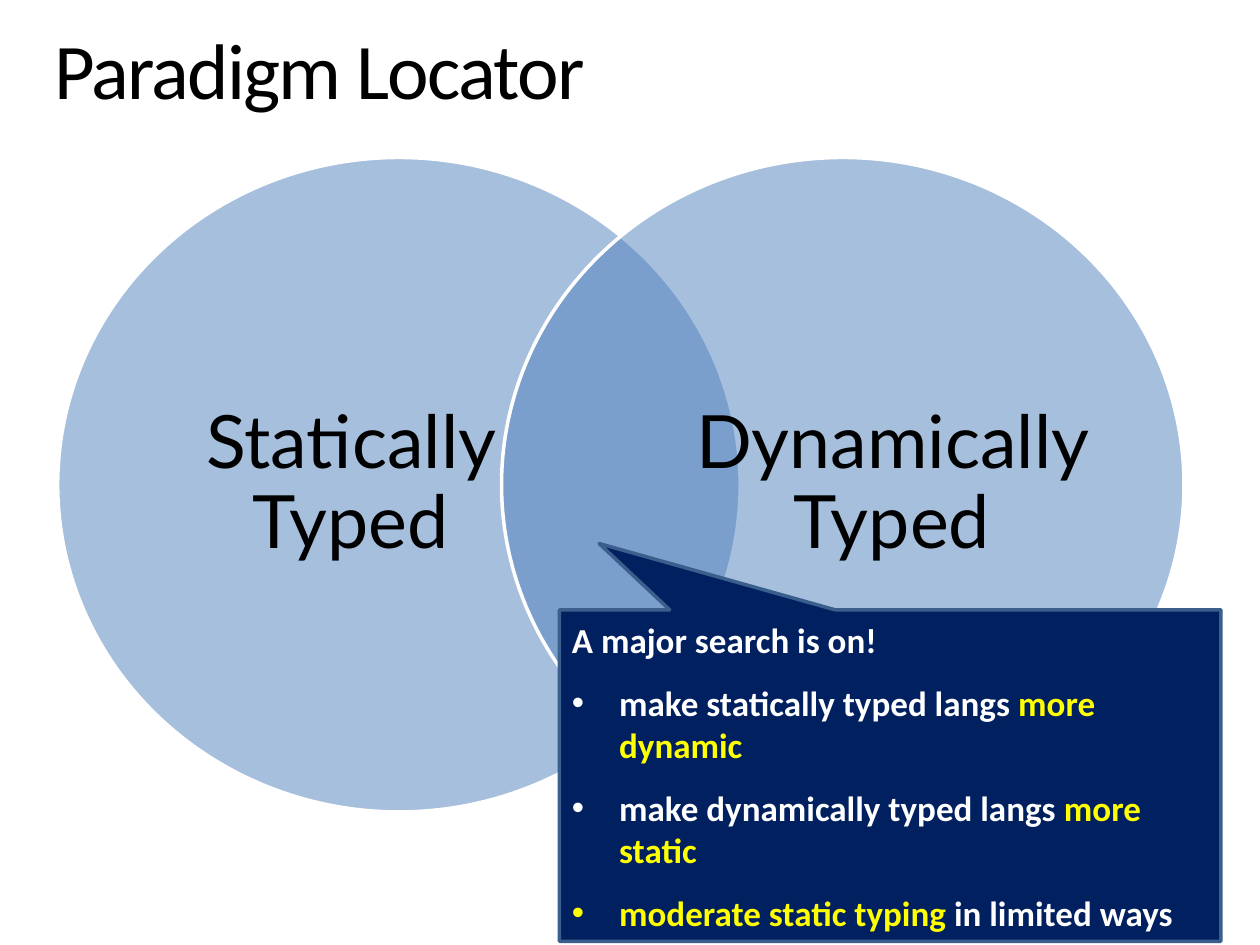
from lxml.etree import SubElement as Sub
from pptx import Presentation
from pptx.dml.color import RGBColor as RGB
from pptx.enum.shapes import MSO_SHAPE as Kind
from pptx.enum.text import MSO_ANCHOR as Anchor, PP_ALIGN as Align
from pptx.oxml.ns import qn
from pptx.util import Pt

BLACK = RGB(0, 0, 0)
WHITE = RGB(255, 255, 255)
BLUE = RGB(0x4F, 0x81, 0xBD)
NAVY = RGB(0x00, 0x20, 0x60)
STEEL = RGB(0x3A, 0x5F, 0x8C)
YELLOW = RGB(255, 255, 0)


class Deck:
    body = "Calibri"
    label = "Lato"
    edge = 2

    def __init__(self, wide, high):
        self.prs = Presentation()
        self.prs.slide_width, self.prs.slide_height = Pt(wide), Pt(high)
        self.slide = self.prs.slides.add_slide(self.prs.slide_layouts[6])

    def run(self, para, text, size, color, face, bold=False):
        run = para.add_run()
        run.text = text
        font = run.font
        font.size, font.name, font.bold = Pt(size), face, bold
        font.color.rgb = color
        return run

    def text(self, box, text, size, face, align, anchor):
        """Add a text box without insets; return its run."""
        frame = self.slide.shapes.add_textbox(*map(Pt, box)).text_frame
        frame.word_wrap = True
        frame.margin_left = frame.margin_right = 0
        frame.margin_top = frame.margin_bottom = 0
        frame.vertical_anchor = anchor
        para = frame.paragraphs[0]
        para.alignment, para.line_spacing = align, 0.9
        return self.run(para, text, size, BLACK, face)

    def title(self, box, text):
        run = self.text(box, text, 45, self.body, Align.LEFT, Anchor.TOP)
        run.font._element.set("spc", "-100")

    def shape(self, kind, box, fill, line):
        shape = self.slide.shapes.add_shape(kind, *map(Pt, box))
        shape.shadow.inherit = False
        shape.fill.solid()
        shape.fill.fore_color.rgb = fill
        shape.line.color.rgb = line
        shape.line.width = Pt(self.edge)
        return shape

    def circle(self, box):
        """Add a half-transparent ellipse."""
        shape = self.shape(Kind.OVAL, box, BLUE, WHITE)
        color = shape.fill._xPr.find(qn("a:solidFill"))[0]
        Sub(color, qn("a:alpha"), val="50000")

    def bullet(self, para):
        props = para._p.get_or_add_pPr()
        props.set("marL", str(Pt(27)))
        props.set("indent", str(Pt(-27)))
        Sub(props, qn("a:buFont"), typeface="Arial")
        Sub(props, qn("a:buChar"), char="•")

    def callout(self, box, tip, head, items):
        shape = self.shape(Kind.RECTANGULAR_CALLOUT, box, NAVY, STEEL)
        for i, value in enumerate(tip):
            shape.adjustments[i] = value
        frame = shape.text_frame
        frame.word_wrap = True
        frame.vertical_anchor = Anchor.MIDDLE
        para = frame.paragraphs[0]
        para.alignment = Align.LEFT
        self.run(para, head, 20, WHITE, self.body, True)
        for item in items:
            para = frame.add_paragraph()
            para.alignment, para.space_before = Align.LEFT, Pt(12)
            self.bullet(para)
            for text, color in item:
                self.run(para, text, 20, color, self.body, True)

    def save(self):
        self.prs.save("out.pptx")


def main():
    deck = Deck(720, 540)
    deck.title((31, 18, 659, 49), "Paradigm Locator")
    sets = [(33, 88, "Statically Typed"), (286.6, 397.5, "Dynamically Typed")]
    for left, inner, name in sets:
        deck.circle((left, 90, 390, 374))
        deck.text((inner, 134.5, 224.5, 285), name, 42, deck.label,
                  Align.CENTER, Anchor.MIDDLE)
    deck.callout((319.7, 348.5, 378, 189.4), (-0.44, -0.7),
                 "A major search is on!", [
        [("make statically typed langs ", WHITE), ("more dynamic", YELLOW)],
        [("make dynamically typed langs ", WHITE), ("more static", YELLOW)],
        [("moderate static typing ", YELLOW), ("in limited ways", WHITE)],
    ])
    deck.save()


if __name__ == "__main__":
    main()
